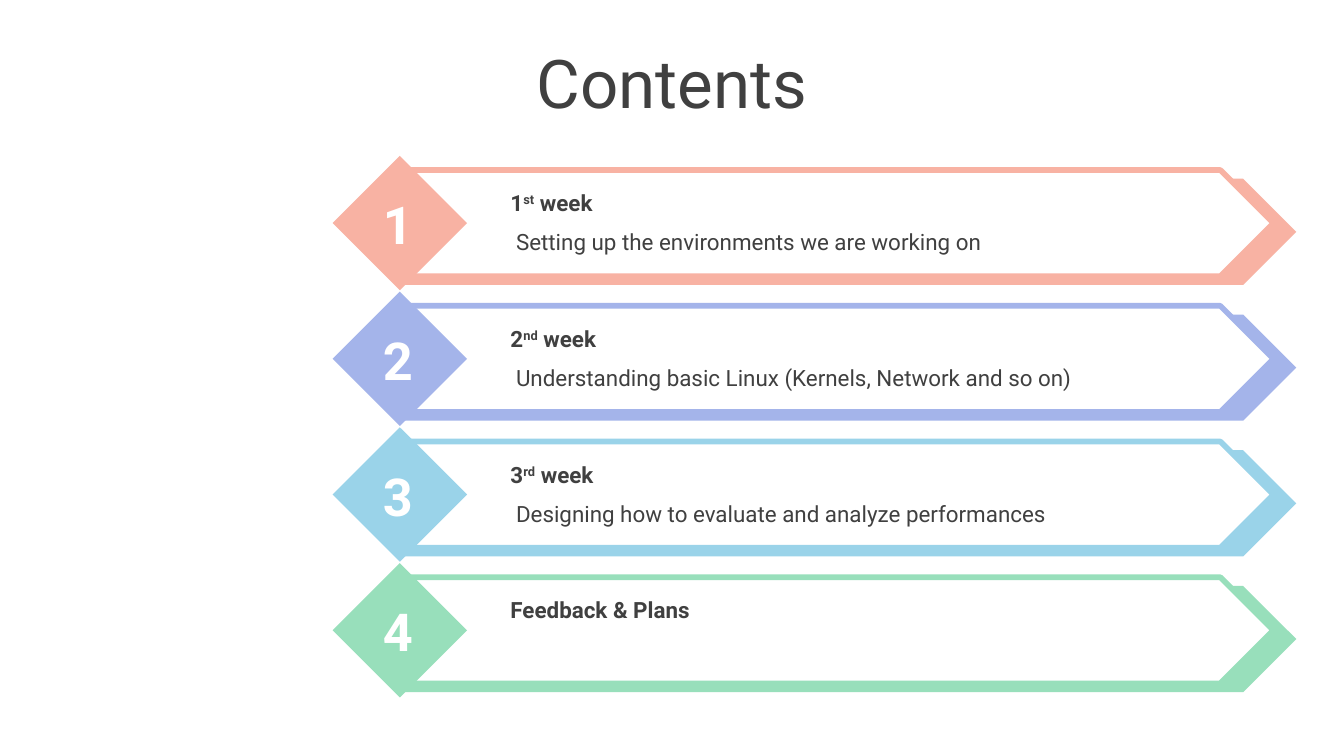
from dataclasses import dataclass
from typing import Optional

from pptx import Presentation
from pptx.dml.color import RGBColor
from pptx.enum.shapes import MSO_SHAPE
from pptx.enum.text import MSO_ANCHOR, PP_ALIGN
from pptx.util import Emu, Pt

PENTAGON, DIAMOND = MSO_SHAPE.PENTAGON, MSO_SHAPE.DIAMOND
TOP, MIDDLE = MSO_ANCHOR.TOP, MSO_ANCHOR.MIDDLE
LEFT, CENTER = PP_ALIGN.LEFT, PP_ALIGN.CENTER

EMU_PER_PX = 4572  # 200 px to the inch
SLIDE_WIDTH, SLIDE_HEIGHT = 2000, 1125
ROW_TOP, ROW_PITCH = 232, 202
TITLE_ONLY = 5

COLORS = {
    "text": "404040",
    "white": "FFFFFF",
    "coral": "F8B2A3",
    "violet": "A4B4EA",
    "sky": "9AD3E9",
    "mint": "98DFBB",
}
FORMATS = {
    "title": {"size": Pt(36), "bold": False},
    "number": {"size": Pt(28), "bold": True},
    "heading": {"size": Pt(12), "bold": True},
    "detail": {"size": Pt(12), "bold": False},
}


@dataclass(frozen=True)
class Box:
    left: int
    top: int
    width: int
    height: int

    def emu(self) -> tuple:
        return tuple(Emu(side * EMU_PER_PX)
                     for side in (self.left, self.top, self.width, self.height))


@dataclass(frozen=True)
class Entry:
    color: str
    heading: tuple  # (text, is superscript) pairs
    detail: str = ""


ENTRIES = [
    Entry("coral", (("1", False), ("st", True), (" week", False)),
          " Setting up the environments we are working on"),
    Entry("violet", (("2", False), ("nd", True), (" week", False)),
          " Understanding basic Linux (Kernels, Network and so on)"),
    Entry("sky", (("3", False), ("rd", True), (" week", False)),
          " Designing how to evaluate and analyze performances"),
    Entry("mint", (("Feedback & Plans", False),)),
]


def rgb(name: str) -> RGBColor:
    return RGBColor.from_string(COLORS[name])


def write(frame, spans: tuple, style: str, color: str = "text",
          align=LEFT, anchor=TOP) -> None:
    frame.word_wrap = True
    frame.vertical_anchor = anchor
    para = frame.paragraphs[0]
    para.alignment = align
    for text, raised in spans:
        span = para.add_run()
        span.text = text
        span.font.name = "Roboto"
        span.font.color.rgb = rgb(color)
        for key, value in FORMATS[style].items():
            setattr(span.font, key, value)
        if raised:
            span._r.get_or_add_rPr().set("baseline", "30000")


def add_text(page, box: Box, spans: tuple, style: str, **options) -> None:
    write(page.shapes.add_textbox(*box.emu()).text_frame, spans, style, **options)


def add_figure(page, kind, box: Box, fill: str, line: Optional[str] = None) -> None:
    figure = page.shapes.add_shape(kind, *box.emu())
    figure.shadow.inherit = False
    figure.fill.solid()
    figure.fill.fore_color.rgb = rgb(fill)
    if line:
        figure.line.color.rgb = rgb(line)
        figure.line.width = Pt(3)
    else:
        figure.line.fill.background()


def add_entry(page, number: int, entry: Entry) -> None:
    top = ROW_TOP + (number - 1) * ROW_PITCH
    # Banner with its offset backing, then the number diamond
    add_figure(page, PENTAGON, Box(601, top + 34, 1328, 158), entry.color)
    add_figure(page, PENTAGON, Box(601, top + 21, 1294, 158), "white", entry.color)
    add_figure(page, DIAMOND, Box(495, top, 200, 200), entry.color)
    add_text(page, Box(548, top + 44, 88, 114), ((f"{number} ", False),), "number",
             color="white", align=CENTER, anchor=MIDDLE)
    # Heading and detail
    add_text(page, Box(740, top + 40, 1040, 60), entry.heading, "heading")
    if entry.detail:
        add_text(page, Box(740, top + 98, 1040, 60), ((entry.detail, False),), "detail")


def main() -> None:
    deck = Presentation()
    deck.slide_width, deck.slide_height = Box(0, 0, SLIDE_WIDTH, SLIDE_HEIGHT).emu()[2:]
    page = deck.slides.add_slide(deck.slide_layouts[TITLE_ONLY])

    # Title
    title = page.shapes.title
    title.left, title.top, title.width, title.height = Box(0, 58, SLIDE_WIDTH, 126).emu()
    write(title.text_frame, (("Contents", False),), "title",
          align=CENTER, anchor=MIDDLE)

    # Schedule rows
    for number, entry in enumerate(ENTRIES, start=1):
        add_entry(page, number, entry)

    deck.save("out.pptx")


if __name__ == "__main__":
    main()
